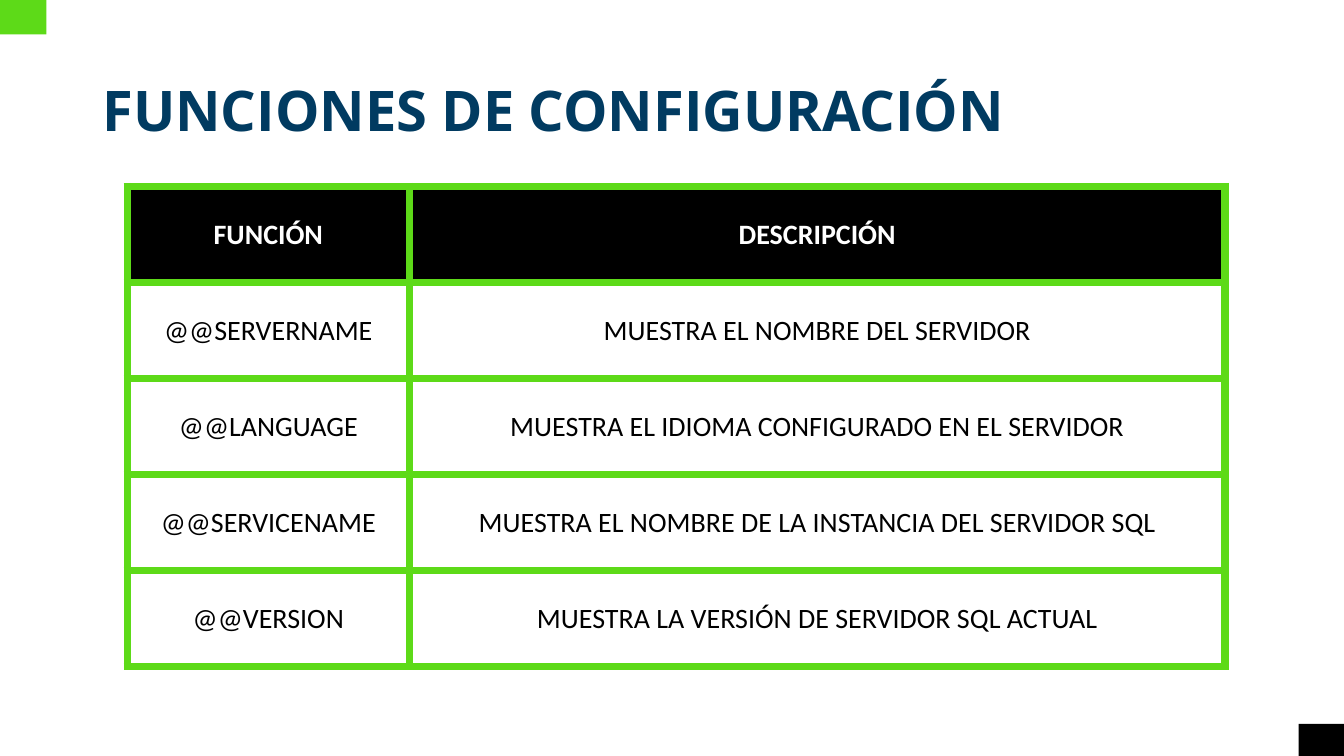
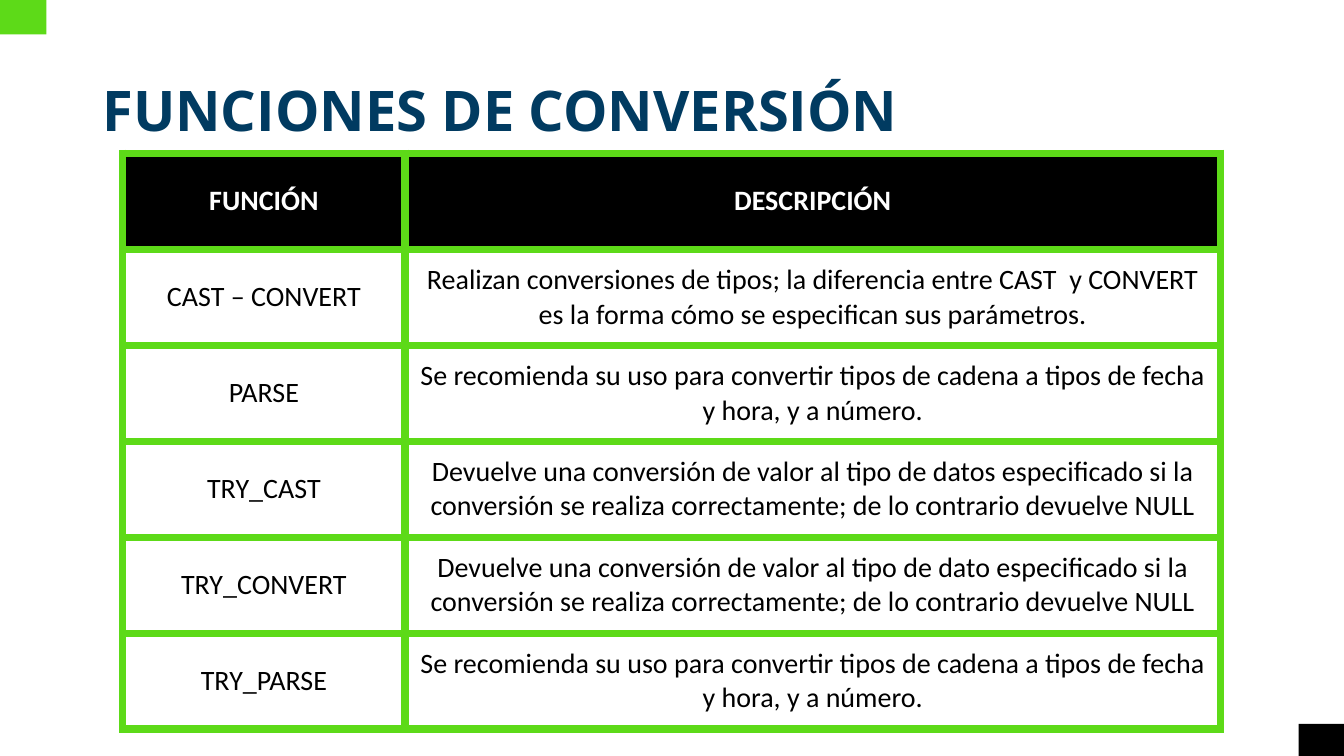
from lxml.etree import SubElement
from pptx import Presentation
from pptx.dml.color import RGBColor
from pptx.enum.shapes import MSO_SHAPE
from pptx.enum.text import MSO_ANCHOR, MSO_AUTO_SIZE, PP_ALIGN
from pptx.oxml.ns import qn
from pptx.util import Pt

HEADER = ("FUNCIÓN", "DESCRIPCIÓN")
PARSE_USE = ("Se recomienda su uso para convertir tipos de cadena a tipos de fecha "
             "y hora, y a número.")
TRY_USE = ("Devuelve una conversión de valor al tipo de {} especificado si la "
           "conversión se realiza correctamente; de lo contrario devuelve NULL")

SLIDES = [
    dict(title="FUNCIONES DE CONFIGURACIÓN", table_at=(90.9, 133.3), rows=[
        ("@@SERVERNAME", "MUESTRA EL NOMBRE DEL SERVIDOR"),
        ("@@LANGUAGE", "MUESTRA EL IDIOMA CONFIGURADO EN EL SERVIDOR"),
        ("@@SERVICENAME", "MUESTRA EL NOMBRE DE LA INSTANCIA DEL SERVIDOR SQL"),
        ("@@VERSION", "MUESTRA LA VERSIÓN DE SERVIDOR SQL ACTUAL"),
    ]),
    dict(title="FUNCIONES DE CONVERSIÓN", table_at=(87.7, 109.6), rows=[
        ("CAST – CONVERT", "Realizan conversiones de tipos; la diferencia entre CAST  y "
                           "CONVERT es la forma cómo se especifican sus parámetros."),
        ("PARSE", PARSE_USE),
        ("TRY_CAST", TRY_USE.format("datos")),
        ("TRY_CONVERT", TRY_USE.format("dato")),
        ("TRY_PARSE", PARSE_USE),
    ]),
]

GREEN, BLACK, WHITE, NAVY = "5DDA18", "000000", "FFFFFF", "013B61"
SLIDE_W, SLIDE_H = 960, 540
CORNERS = [((0, 0, 33.2, 24.6), GREEN), ((927.6, 517, 32.4, 23), BLACK)]
TITLE_BOX = (66, 28.8, 828, 104.4)
COL_WIDTHS, ROW_H, BORDER = (201.6, 582.5), 68.55, 6
TITLE_FONT = dict(name="Open Sans", size=Pt(40), bold=True)
HEAD_FONT = dict(name="Calibri", size=Pt(20), bold=True)
BODY_FONT = dict(HEAD_FONT, bold=False)


def rgb(code):
    """Turn a hex string into a colour."""
    return RGBColor.from_string(code)


def set_attrs(obj, values):
    """Set each attribute named in a dict."""
    for name, value in values.items():
        setattr(obj, name, value)


def write(tf, text, font, color, **paragraph):
    """Write one formatted paragraph into a text frame."""
    p = tf.paragraphs[0]
    set_attrs(p, paragraph)
    r = p.add_run()
    r.text = text
    set_attrs(r.font, font)
    r.font.color.rgb = rgb(color)


def add_corners(prs, s):
    """Draw the corner blocks and move them to the slide master."""
    for box, color in CORNERS:
        sp = s.shapes.add_shape(MSO_SHAPE.RECTANGLE, *map(Pt, box))
        sp.shadow.inherit = False
        sp.fill.solid()
        sp.fill.fore_color.rgb = rgb(color)
        sp.line.fill.background()
        prs.slide_master.shapes.element.append(sp.element)


def add_title(s, text):
    """Place and format the title placeholder."""
    sp = s.shapes.title
    set_attrs(sp, dict(zip(("left", "top", "width", "height"), map(Pt, TITLE_BOX))))
    tf = sp.text_frame
    set_attrs(tf, dict(word_wrap=True, auto_size=MSO_AUTO_SIZE.NONE,
                       vertical_anchor=MSO_ANCHOR.MIDDLE))
    write(tf, text, TITLE_FONT, NAVY, alignment=PP_ALIGN.LEFT, line_spacing=0.9)


def add_borders(cell):
    """Give a cell green lines on all four sides, ahead of its fill."""
    tc_pr = cell._tc.get_or_add_tcPr()
    for i, side in enumerate(("lnL", "lnR", "lnT", "lnB")):
        ln = SubElement(tc_pr, qn("a:" + side), w=str(Pt(BORDER)))
        fill = SubElement(ln, qn("a:solidFill"))
        SubElement(fill, qn("a:srgbClr"), val=GREEN)
        tc_pr.insert(i, ln)


def add_function_table(s, at, rows):
    """Add the table of functions under its black header row."""
    rows = [HEADER, *rows]
    size = (sum(COL_WIDTHS), ROW_H * len(rows))
    table = s.shapes.add_table(len(rows), len(COL_WIDTHS), *map(Pt, at + size)).table
    for column, width in zip(table.columns, COL_WIDTHS):
        column.width = Pt(width)
    for i, row in enumerate(rows):
        table.rows[i].height = Pt(ROW_H)
        font, color, fill = (BODY_FONT, BLACK, WHITE) if i else (HEAD_FONT, WHITE, BLACK)
        for j, text in enumerate(row):
            cell = table.cell(i, j)
            cell.vertical_anchor = MSO_ANCHOR.MIDDLE
            cell.fill.solid()
            cell.fill.fore_color.rgb = rgb(fill)
            add_borders(cell)
            write(cell.text_frame, text, font, color, alignment=PP_ALIGN.CENTER)


def main():
    """Build and save the presentation."""
    prs = Presentation()
    set_attrs(prs, dict(slide_width=Pt(SLIDE_W), slide_height=Pt(SLIDE_H)))
    for number, content in enumerate(SLIDES):
        s = prs.slides.add_slide(prs.slide_layouts[5])
        if number == 0:
            add_corners(prs, s)
        add_title(s, content["title"])
        add_function_table(s, content["table_at"], content["rows"])
    prs.save("out.pptx")


main()
